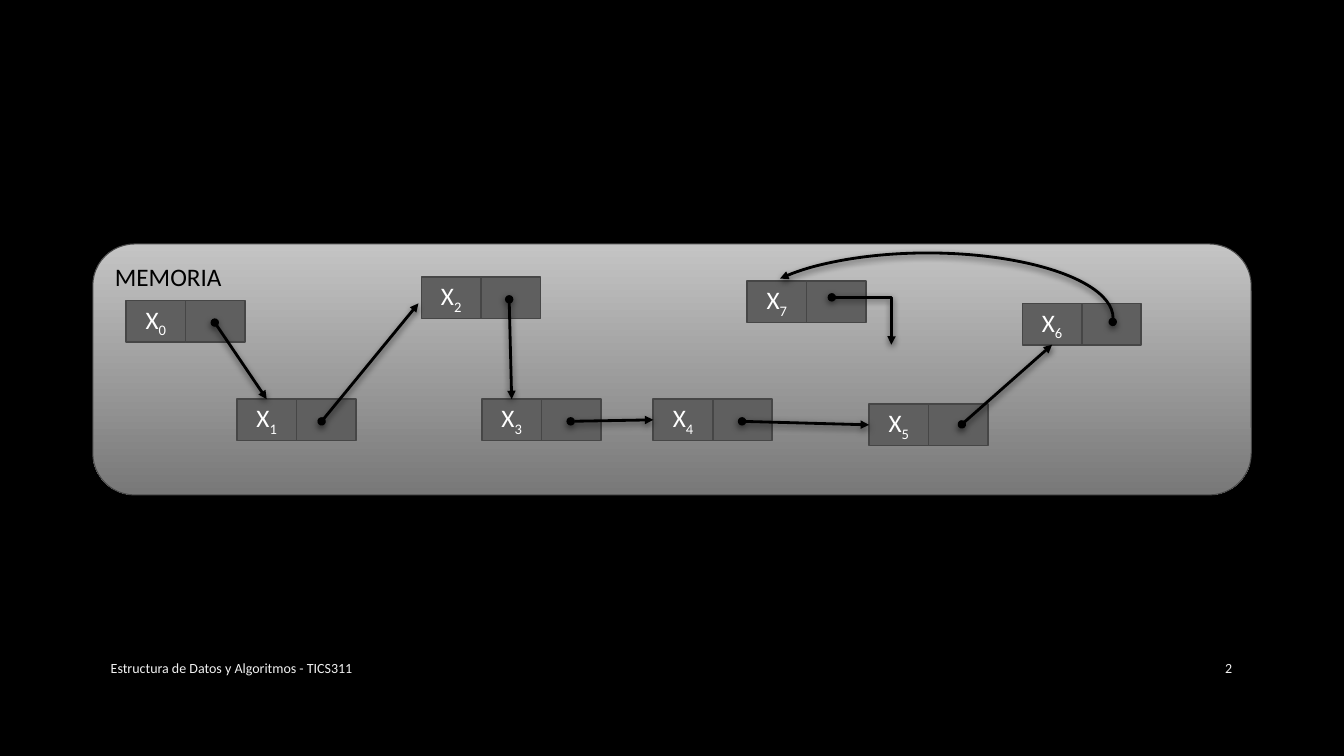
from lxml import etree
from pptx import Presentation
from pptx.dml.color import RGBColor
from pptx.enum.shapes import MSO_CONNECTOR, MSO_SHAPE
from pptx.enum.text import MSO_ANCHOR, PP_ALIGN
from pptx.oxml.ns import qn
from pptx.util import Inches, Pt

RECT, ROUND, ARC = MSO_SHAPE.RECTANGLE, MSO_SHAPE.ROUNDED_RECTANGLE, MSO_SHAPE.ARC
STRAIGHT, ELBOW = MSO_CONNECTOR.STRAIGHT, MSO_CONNECTOR.ELBOW
LEFT, CENTER, RIGHT = PP_ALIGN.LEFT, PP_ALIGN.CENTER, PP_ALIGN.RIGHT
TOP, MIDDLE = MSO_ANCHOR.TOP, MSO_ANCHOR.MIDDLE
TOP_SIDE, LEFT_SIDE, BOTTOM_SIDE = 0, 1, 2

COLORS = {"black": "000000", "white": "FFFFFF", "light": "C4C4C4", "dark": "787878",
          "edge": "4A4A4A", "cell": "5F5F5F", "cell_edge": "464646", "footer": "F2F2F2"}
SLIDE_W, SLIDE_H = 13.33, 7.5
CELL_W, CELL_H = 0.59, 0.41
MEMORY = (0.92, 2.42, 11.49, 2.49)
ARC_BOX = (7.36, 2.51, 3.68, 1.29)
ARC_ANGLES = (107.275, 207.016)
NODES = [(1.25, 2.98), (2.35, 3.96), (4.18, 2.75), (4.78, 3.96),
         (6.48, 3.96), (8.62, 4.01), (10.14, 3.01), (7.41, 2.79)]
LINKS = [
    (0, (2.13, 3.2), TOP_SIDE),
    (1, (3.19, 4.18), (4.15, 3.01)),
    (2, (5.05, 2.97), TOP_SIDE),
    (3, (5.66, 4.18), LEFT_SIDE),
    (4, (7.36, 4.18), LEFT_SIDE),
    (5, (9.54, 4.21), BOTTOM_SIDE),
]
NULL_LINK = ((8.25, 2.95), (8.84, 3.42))
FOOTERS = [
    ((1, 6.43, 7.3, 0.4), "Estructura de Datos y Algoritmos - TICS311", LEFT),
    ((11.5, 6.43, 0.82, 0.4), "2", RIGHT),
]


def rgb(name):
    return RGBColor.from_string(COLORS[name])


def inches(values):
    return [Inches(v) for v in values]


def write(shape, runs, size, color, align, anchor):
    tf = shape.text_frame
    tf.word_wrap = True
    tf.vertical_anchor = anchor
    p = tf.paragraphs[0]
    p.alignment = align
    for text, baseline in runs:
        r = p.add_run()
        r.text = text
        for key, value in {"name": "Calibri", "size": Pt(size)}.items():
            setattr(r.font, key, value)
        r.font.color.rgb = rgb(color)
        if baseline:
            r.font._element.set("baseline", str(baseline))


def add_box(slide, kind, box, line, width):
    sp = slide.shapes.add_shape(kind, *inches(box))
    sp.shadow.inherit = False
    sp.line.color.rgb = rgb(line)
    sp.line.width = Pt(width)
    return sp


def add_cell(slide, x, y):
    sp = add_box(slide, RECT, (x, y, CELL_W, CELL_H), "cell_edge", 1.25)
    sp.fill.solid()
    sp.fill.fore_color.rgb = rgb("cell")
    return sp


def style_arrow(shape):
    shape.line.color.rgb = rgb("black")
    shape.line.width = Pt(2)
    ln = shape.line._get_or_add_ln()
    for tag, kind in (("a:headEnd", "oval"), ("a:tailEnd", "triangle")):
        etree.SubElement(ln, qn(tag), type=kind)
    sp_pr = shape._element.spPr
    for effects in sp_pr.findall(qn("a:effectLst")):
        sp_pr.remove(effects)
    effects = etree.SubElement(sp_pr, qn("a:effectLst"))
    shadow = etree.SubElement(effects, qn("a:outerShdw"), blurRad=str(Pt(5)),
                              dist=str(Pt(2)), dir="5400000", rotWithShape="0")
    color = etree.SubElement(shadow, qn("a:srgbClr"), val=COLORS["black"])
    etree.SubElement(color, qn("a:alpha"), val="60000")


def add_arrow(slide, kind, start, end):
    cx = slide.shapes.add_connector(kind, *inches(start + end))
    style_arrow(cx)
    return cx


def add_memory(slide):
    sp = add_box(slide, ROUND, MEMORY, "edge", 0.75)
    sp.fill.gradient()
    sp.fill.gradient_angle = 270
    for stop, position, name in zip(sp.fill.gradient_stops, (0, 1), ("light", "dark")):
        stop.position = position
        stop.color.rgb = rgb(name)
    write(sp, [("MEMORIA", 0)], 18, "black", LEFT, TOP)


def add_links(slide, cells):
    for i, start, target in LINKS:
        if isinstance(target, tuple):
            add_arrow(slide, STRAIGHT, start, target)
        else:
            cx = add_arrow(slide, STRAIGHT, start, NODES[i + 1])
            cx.end_connect(cells[i + 1], target)

    arc = slide.shapes.add_shape(ARC, *inches(ARC_BOX))
    arc.fill.background()
    for i, angle in enumerate(ARC_ANGLES):
        arc.adjustments[i] = angle
    arc._element.spPr.get_or_add_xfrm().set("flipH", "1")
    style_arrow(arc)

    bent = add_arrow(slide, ELBOW, *NULL_LINK)
    guides = bent._element.spPr.find(qn("a:prstGeom")).get_or_add_avLst()
    etree.SubElement(guides, qn("a:gd"), name="adj1", fmla="val 100400")


def main():
    prs = Presentation()
    prs.slide_width, prs.slide_height = inches((SLIDE_W, SLIDE_H))
    slide = prs.slides.add_slide(prs.slide_layouts[6])
    slide.background.fill.solid()
    slide.background.fill.fore_color.rgb = rgb("black")

    add_memory(slide)
    cells = []
    for i, (x, y) in enumerate(NODES):
        cell = add_cell(slide, x, y)
        write(cell, [("X", 0), (str(i), -25000)], 18, "white", CENTER, MIDDLE)
        cells.append(cell)
        add_cell(slide, x + CELL_W, y)
    add_links(slide, cells)

    for box, text, align in FOOTERS:
        tb = slide.shapes.add_textbox(*inches(box))
        write(tb, [(text, 0)], 10, "footer", align, MIDDLE)
    prs.save("out.pptx")


if __name__ == "__main__":
    main()
